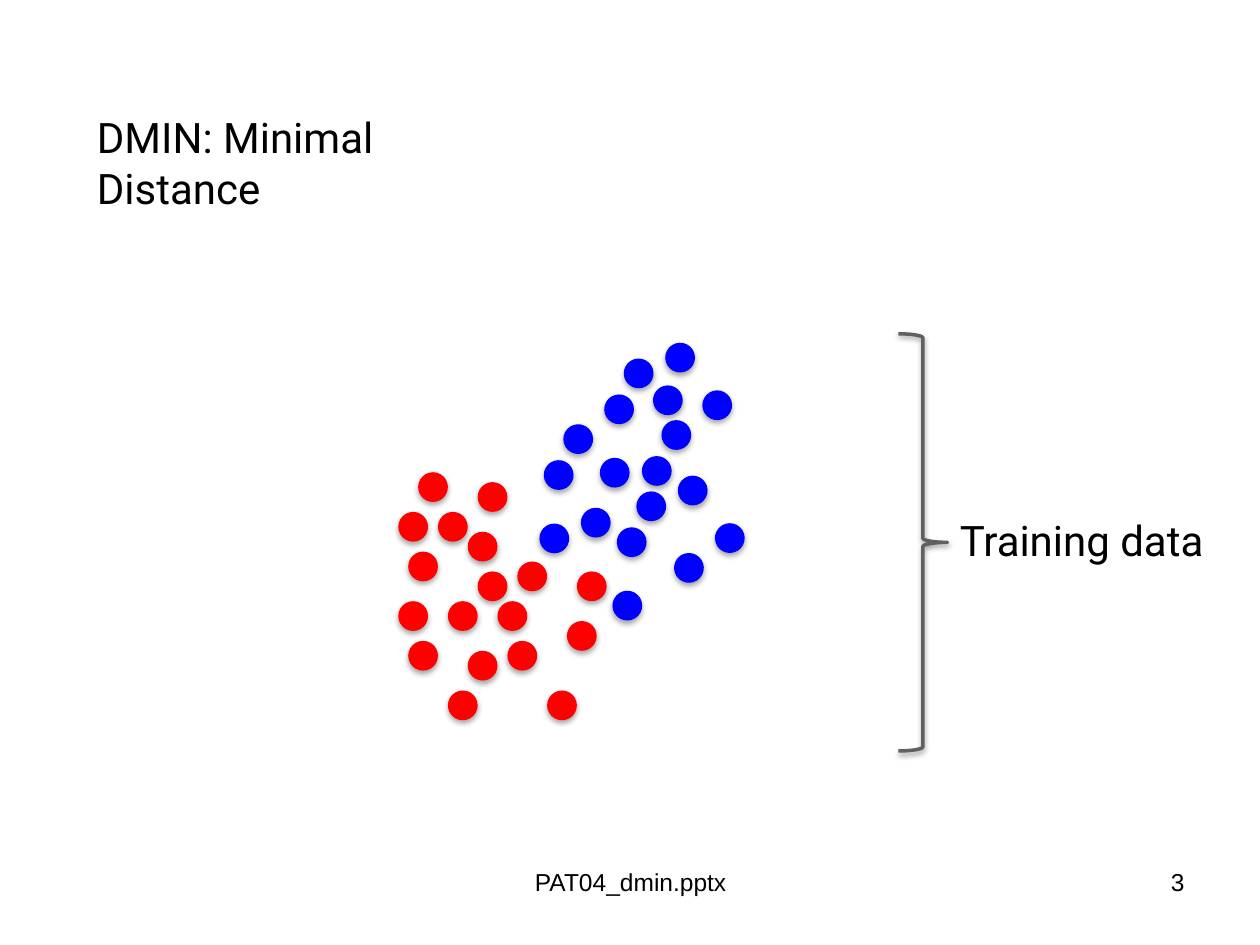
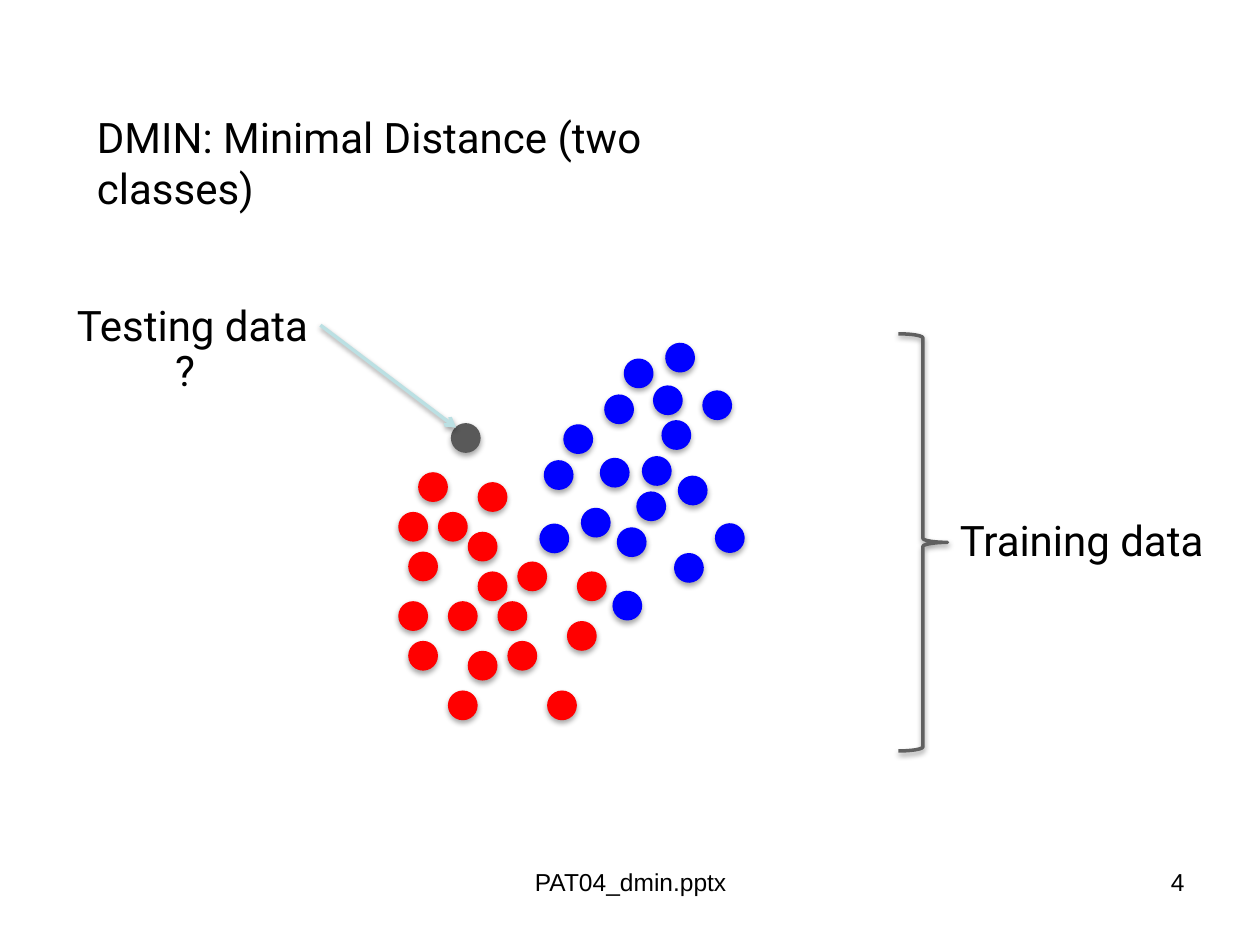
from math import cos, radians, sin

from lxml.etree import SubElement
from pptx import Presentation
from pptx.dml.color import RGBColor
from pptx.enum.shapes import MSO_CONNECTOR as Connector, MSO_SHAPE as Shape
from pptx.enum.text import MSO_ANCHOR as Anchor, MSO_AUTO_SIZE as AutoSize, PP_ALIGN as Align
from pptx.oxml.ns import qn
from pptx.util import Cm, Emu, Pt

# Content: slide number, title, title width, whether the test point shows
SLIDES = [
    (3, "DMIN: Minimal Distance", 9.4, False),
    (4, "DMIN: Minimal Distance (two classes)", 14.6, True),
]
FOOTER = "PAT04_dmin.pptx"
TRAINING = "Training data"
TESTING = "Testing data"
UNKNOWN = "?"

# Cluster pattern as (column, row) on a fine grid
PATTERN = [
    (2, 0), (1, 8), (0, 4), (8, 1), (5, 13), (7, 6), (12, 9), (11, 17), (10, 13),
    (18, 10), (15, 22), (17, 15), (4, 4), (1, 17), (0, 13), (8, 10), (5, 22), (7, 18),
]
# Each class: colour, place of its first dot (cm), turn of the pattern (degrees)
CLASSES = [
    ("FF0000", (8.43, 9.52), 0),
    ("0000FF", (13.41, 6.91), 42.6),
]

# Shared look, lengths in cm
BLACK, GREY, DARK, PALE = "000000", "606060", "595959", "BBE0E3"
BODY_FONT, FOOTER_FONT = "Roboto", "Arial"
STEP, DOT = 0.2, 0.6
TEXT_HEIGHT = 1.27
FOOTER_TOP, FOOTER_HEIGHT = 17.35, 1.32
DOT_SHADOW = (35, 23000)
LINE_SHADOW = (38, 20000)


def color(hex_code):
    return RGBColor.from_string(hex_code)


def box(*lengths):
    return [Cm(length) for length in lengths]


def add_shadow(part, opacity, distance):
    effects = SubElement(part._element.spPr, qn("a:effectLst"))
    shadow = SubElement(effects, qn("a:outerShdw"), blurRad="40000",
                        dist=str(distance), dir="5400000", rotWithShape="0")
    black = SubElement(shadow, qn("a:srgbClr"), val=BLACK)
    SubElement(black, qn("a:alpha"), val=str(opacity * 1000))


def write(holder, text, size=24, font=BODY_FONT, align=Align.LEFT, wrap=False):
    frame = holder.text_frame
    frame.text = text
    frame.word_wrap = wrap
    frame.auto_size = AutoSize.NONE
    frame.vertical_anchor = Anchor.TOP
    paragraph = frame.paragraphs[0]
    paragraph.alignment = align
    run_font = paragraph.runs[0].font
    run_font.size, run_font.name = Pt(size), font
    run_font.color.rgb = color(BLACK)


def add_label(slide, text, left, top, width):
    label = slide.shapes.add_textbox(*box(left, top, width, TEXT_HEIGHT))
    write(label, text)
    return label


def add_footer(slide, text, left, width, align):
    footer = slide.shapes.add_textbox(*box(left, FOOTER_TOP, width, FOOTER_HEIGHT))
    write(footer, text, 14, FOOTER_FONT, align, wrap=True)


def add_dot(shapes, left, top, fill, turn=0):
    dot = shapes.add_shape(Shape.OVAL, *box(left, top, DOT, DOT))
    dot.rotation = turn
    dot.fill.solid()
    dot.fill.fore_color.rgb = color(fill)
    dot.line.fill.background()
    add_shadow(dot, *DOT_SHADOW)


def add_cluster(slide, fill, start, turn):
    """Place the pattern, turned around its first dot."""
    cluster = slide.shapes.add_group_shape()
    angle = radians(turn)
    first_column, first_row = PATTERN[0]
    for column, row in PATTERN:
        across, down = STEP * (column - first_column), STEP * (row - first_row)
        left = start[0] + across * cos(angle) - down * sin(angle)
        top = start[1] + across * sin(angle) + down * cos(angle)
        add_dot(cluster.shapes, left, top, fill, turn)


def add_training_brace(slide):
    brace = slide.shapes.add_shape(Shape.RIGHT_BRACE, *box(18.11, 6.73, 0.99, 8.41))
    brace.fill.background()
    brace.line.color.rgb = color(GREY)
    brace.line.width = Pt(2)
    add_shadow(brace, *LINE_SHADOW)
    add_label(slide, TRAINING, 19.1, 10.24, 5.51)


def add_test_point(slide):
    add_dot(slide.shapes, 9.09, 8.53, DARK)
    testing = add_label(slide, TESTING, 1.3, 5.92, 5.16)
    arrow = slide.shapes.add_connector(Connector.STRAIGHT, *box(6.46, 6.55, 9.19, 8.62))
    arrow.begin_connect(testing, 3)
    arrow.line.color.rgb = color(PALE)
    arrow.line.width = Pt(2)
    SubElement(arrow.line._get_or_add_ln(), qn("a:tailEnd"), type="arrow")
    add_shadow(arrow, *LINE_SHADOW)
    add_label(slide, UNKNOWN, 3.28, 6.83, 0.84)


def main():
    deck = Presentation()
    deck.slide_width, deck.slide_height = box(25.4, 19.05)
    title_only = deck.slide_layouts[5]

    for number, heading, title_width, has_test_point in SLIDES:
        slide = deck.slides.add_slide(title_only)

        # Title
        title = slide.shapes.title
        title.left, title.top, title.width, title.height = box(1.7, 2.13, title_width, TEXT_HEIGHT)
        write(title, heading, wrap=True)

        # Training data
        for fill, start, turn in CLASSES:
            add_cluster(slide, fill, start, turn)
        add_training_brace(slide)

        # Testing data
        if has_test_point:
            add_test_point(slide)

        # Footer
        add_footer(slide, FOOTER, 8.69, 8.05, Align.CENTER)
        add_footer(slide, str(number), 18.21, 5.92, Align.RIGHT)

    deck.save("out.pptx")


if __name__ == "__main__":
    main()
